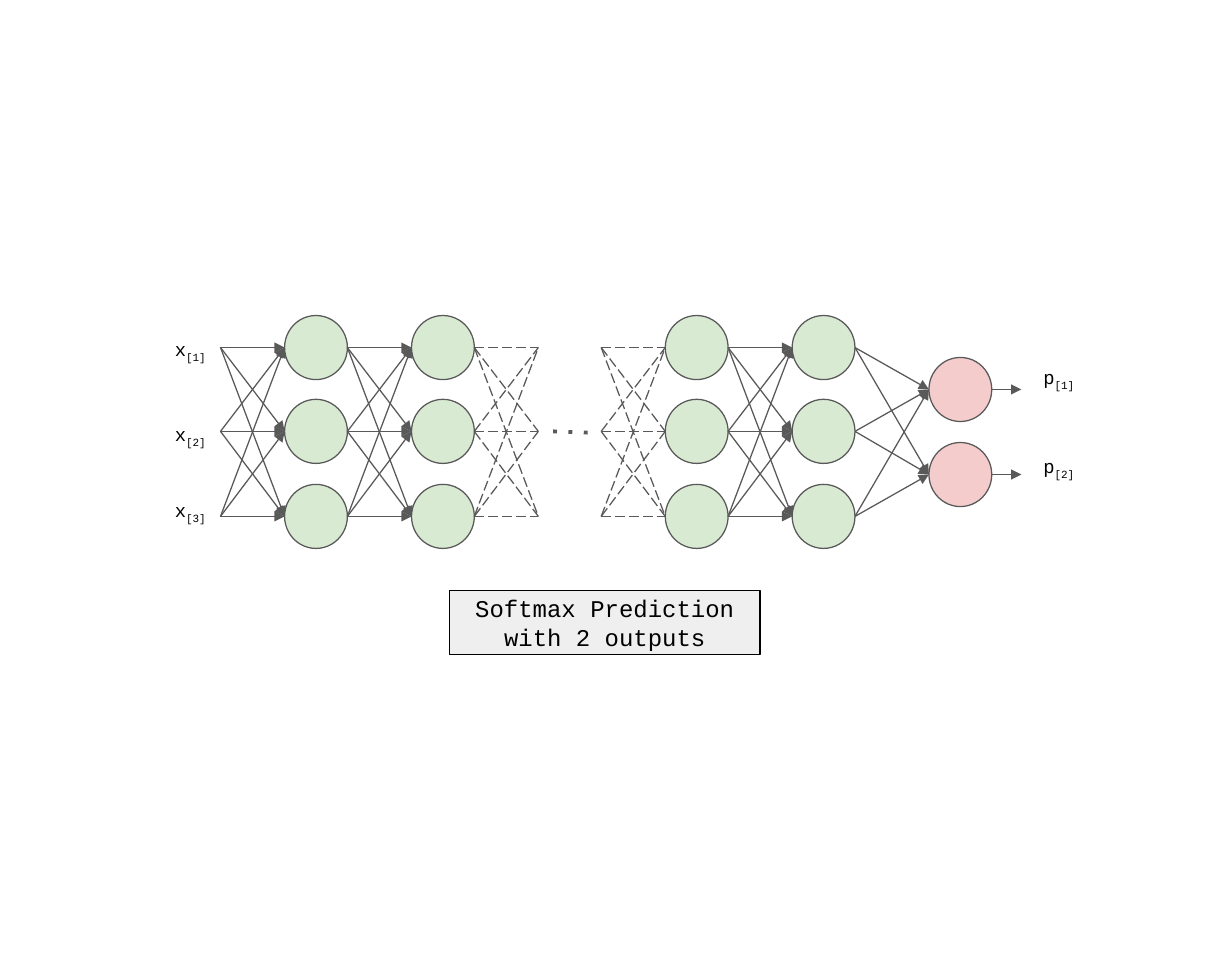
from itertools import product

from lxml import etree
from pptx import Presentation
from pptx.dml.color import RGBColor
from pptx.enum import shapes, text
from pptx.oxml.ns import qn
from pptx.util import Inches, Pt

GREEN = RGBColor(0xD9, 0xEA, 0xD3)
PINK = RGBColor(0xF4, 0xCC, 0xCC)
LIGHT_GRAY = RGBColor(0xEF, 0xEF, 0xEF)
GRAY = RGBColor(0x59, 0x59, 0x59)
BLACK = RGBColor(0, 0, 0)
FONT = "Courier New"

NODE_WIDTH, NODE_HEIGHT = 0.51, 0.52
LAYER_PITCH = 1.03
INPUT_X = 1.79
FIRST_LAYER_X = 2.31
OUTPUT_X = 7.54
ROWS = [2.82, 3.5, 4.19]
OUTPUT_ROWS = [3.16, 3.85]


def add_node(slide, left, center_y, color):
    node = slide.shapes.add_shape(
        shapes.MSO_SHAPE.OVAL, Inches(left), Inches(center_y - NODE_HEIGHT / 2),
        Inches(NODE_WIDTH), Inches(NODE_HEIGHT))
    node.shadow.inherit = False
    node.fill.solid()
    node.fill.fore_color.rgb = color
    node.line.color.rgb = GRAY
    node.line.width = Pt(0.75)


def add_edge(slide, start, end, dash=None, width=0.75):
    """Draw an arrow, or a plain line when a dash style is given."""
    edge = slide.shapes.add_connector(
        shapes.MSO_CONNECTOR.STRAIGHT, *map(Inches, start + end))
    edge.line.color.rgb = GRAY
    edge.line.width = Pt(width)
    outline = edge.line._get_or_add_ln()
    if dash:
        etree.SubElement(outline, qn("a:prstDash"), val=dash)
    else:
        etree.SubElement(outline, qn("a:tailEnd"), type="triangle")
    etree.SubElement(edge._element.spPr, qn("a:effectLst"))


def connect_layers(slide, left, right, end_rows=ROWS, dash=None):
    for start_y, end_y in product(ROWS, end_rows):
        add_edge(slide, (left, start_y), (right, end_y), dash)


def format_text(frame, size):
    frame.word_wrap = True
    frame.margin_top = frame.margin_bottom = 0
    font = frame.paragraphs[0].font
    font.name, font.size, font.color.rgb = FONT, Pt(size), BLACK


def add_variable(slide, left, top, name, index):
    label = slide.shapes.add_textbox(
        Inches(left), Inches(top), Inches(0.51), Inches(0.31))
    paragraph = label.text_frame.paragraphs[0]
    paragraph.add_run().text = name
    subscript = paragraph.add_run()
    subscript.text = f"[{index}]"
    subscript.font._element.set("baseline", "-25000")
    format_text(label.text_frame, 11)


def add_caption(slide, wording):
    caption = slide.shapes.add_shape(
        shapes.MSO_SHAPE.RECTANGLE, Inches(3.65), Inches(4.79),
        Inches(2.52), Inches(0.52))
    caption.shadow.inherit = False
    caption.fill.solid()
    caption.fill.fore_color.rgb = LIGHT_GRAY
    caption.line.color.rgb = BLACK
    caption.line.width = Pt(0.75)
    frame = caption.text_frame
    frame.text = wording
    frame.vertical_anchor = text.MSO_ANCHOR.MIDDLE
    frame.paragraphs[0].alignment = text.PP_ALIGN.CENTER
    format_text(frame, 14)


def main():
    presentation = Presentation()
    presentation.slide_width = Inches(10)
    presentation.slide_height = Inches(7.87)
    slide = presentation.slides.add_slide(presentation.slide_layouts[6])

    # The middle of the five layer positions is left open for the ellipsis.
    layers = [FIRST_LAYER_X + i * LAYER_PITCH for i in range(5)]
    first, second, skipped, fourth, last = layers
    for left, row in product((first, second, fourth, last), ROWS):
        add_node(slide, left, row, GREEN)
    for row in OUTPUT_ROWS:
        add_node(slide, OUTPUT_X, row, PINK)

    connect_layers(slide, INPUT_X, first)
    connect_layers(slide, first + NODE_WIDTH, second)
    connect_layers(slide, second + NODE_WIDTH, skipped, dash="lgDash")
    connect_layers(slide, skipped + NODE_WIDTH, fourth, dash="lgDash")
    connect_layers(slide, fourth + NODE_WIDTH, last)
    connect_layers(slide, last + NODE_WIDTH, OUTPUT_X, OUTPUT_ROWS)
    for row in OUTPUT_ROWS:
        add_edge(slide, (OUTPUT_X + NODE_WIDTH, row), (8.29, row))
    add_edge(slide, (4.49, 3.5), (4.77, 3.51), dash="dot", width=2.25)

    for index, top in enumerate((2.74, 3.43, 4.05), start=1):
        add_variable(slide, 1.32, top, "x", index)
    for index, top in enumerate((2.97, 3.69), start=1):
        add_variable(slide, 8.37, top, "p", index)
    add_caption(slide, "Softmax Prediction with 2 outputs")

    presentation.save("out.pptx")


if __name__ == "__main__":
    main()
